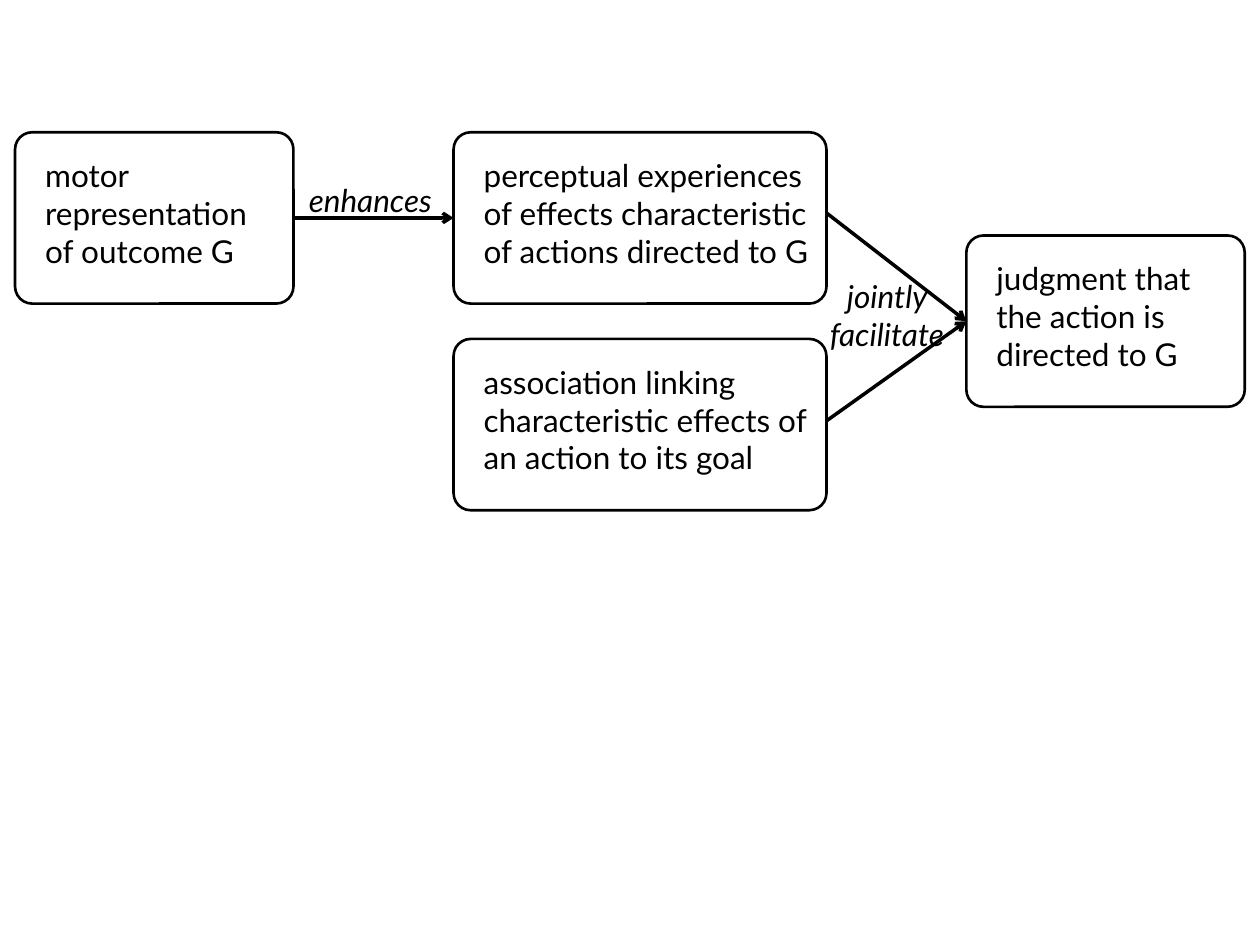
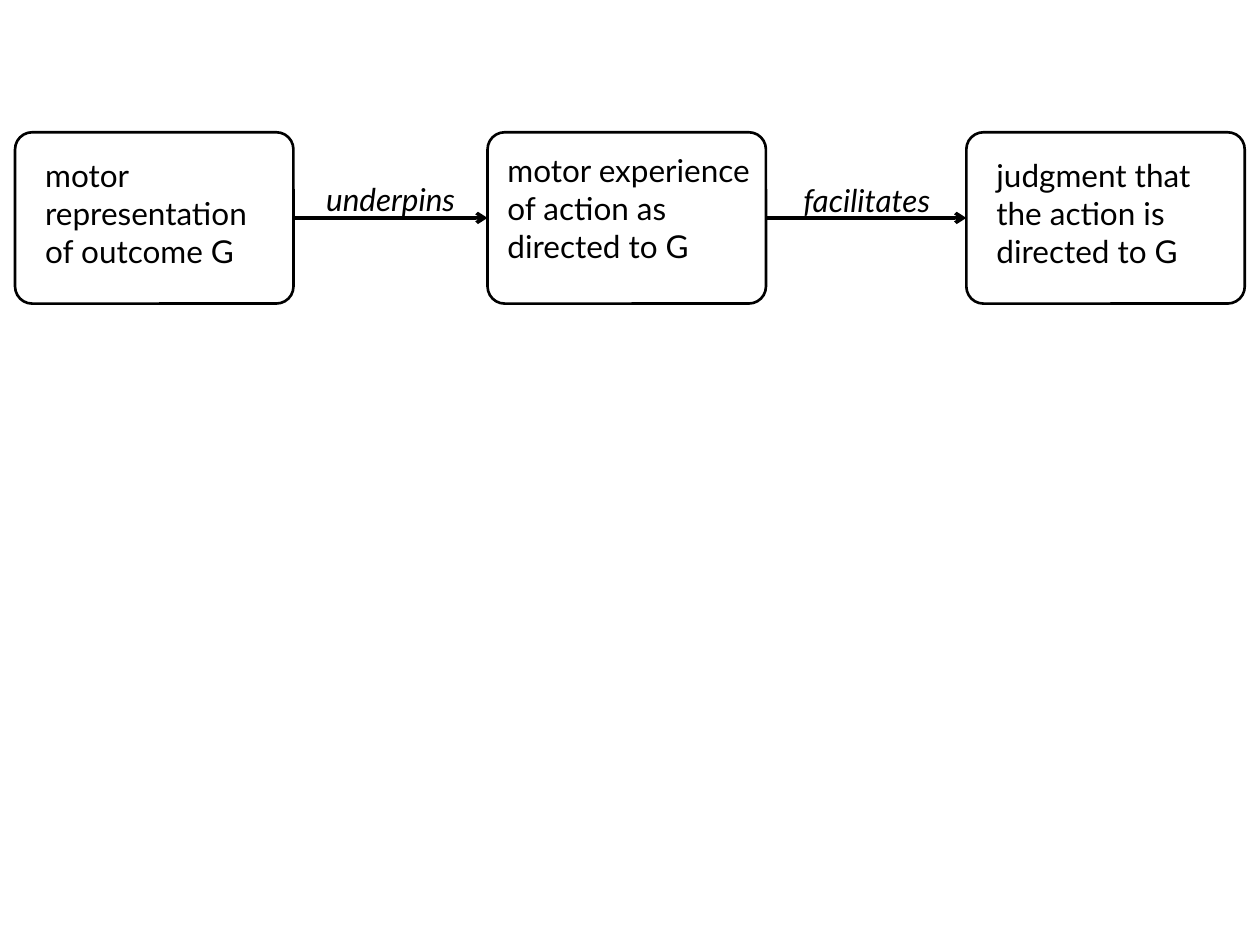
from lxml import etree
from pptx import Presentation
from pptx.dml.color import RGBColor
from pptx.enum import shapes, text
from pptx.oxml import ns
from pptx.util import Pt

BLACK = RGBColor(0, 0, 0)
WHITE = RGBColor(255, 255, 255)
FONT = "Lato"

# Shared grid, in points
TOP = 75.6
BOX_W, WIDE_W, BOX_H = 159.1, 213.1, 97.9
MIDDLE = TOP + BOX_H / 2
MOTOR_X, EFFECTS_X, EXPERIENCE_X, JUDGMENT_X = 8.6, 259.2, 278.6, 552.2
LABEL_W = 89.3

MOTOR = "motor representation of outcome G"
JUDGMENT = "judgment that the action is directed to G"


def write(frame, words, size=18, italic=False, align=None):
    frame.word_wrap = True
    frame.auto_size = text.MSO_AUTO_SIZE.SHAPE_TO_FIT_TEXT
    paragraph = frame.paragraphs[0]
    paragraph.alignment = align
    run = paragraph.add_run()
    run.text = words
    run.font.name, run.font.size = FONT, Pt(size)
    run.font.italic = italic
    run.font.color.rgb = BLACK


class Diagram:
    """Holds the style and the current slide."""

    def __init__(self):
        self.deck = Presentation()
        self.deck.slide_width, self.deck.slide_height = Pt(720), Pt(540)
        self.slide = None

    def new_slide(self):
        self.slide = self.deck.slides.add_slide(self.deck.slide_layouts[6])
        fill = self.slide.background.fill
        fill.solid()
        fill.fore_color.rgb = WHITE

    def node(self, words, left, top=TOP, width=BOX_W, text_w=135.4,
             inset=(10.1, 10.1)):
        """Rounded box grouped with its text."""
        group = self.slide.shapes.add_group_shape().shapes
        box = group.add_shape(shapes.MSO_SHAPE.ROUNDED_RECTANGLE,
                              Pt(left), Pt(top), Pt(width), Pt(BOX_H))
        box.adjustments[0] = 0.1
        box.shadow.inherit = False
        box.fill.background()
        box.line.color.rgb, box.line.width = BLACK, Pt(1.5)
        dx, dy = inset
        caption = group.add_textbox(Pt(left + dx), Pt(top + dy),
                                    Pt(text_w), Pt(72.7))
        write(caption.text_frame, words)

    def label(self, words, left, top, height=28.8):
        caption = self.slide.shapes.add_textbox(Pt(left), Pt(top),
                                                Pt(LABEL_W), Pt(height))
        write(caption.text_frame, words, italic=True,
              align=text.PP_ALIGN.CENTER)

    def arrow(self, x1, y1, x2, y2):
        link = self.slide.shapes.add_connector(
            shapes.MSO_CONNECTOR.STRAIGHT, Pt(x1), Pt(y1), Pt(x2), Pt(y2))
        link.line.color.rgb, link.line.width = BLACK, Pt(2)
        etree.SubElement(link.line._get_or_add_ln(), ns.qn("a:tailEnd"),
                         type="arrow")
        etree.SubElement(link._element.spPr, ns.qn("a:effectLst"))


diagram = Diagram()

# Slide 1: two factors jointly lead to the judgment
diagram.new_slide()
association_top, judgment_top = 193.7, 134.6
effects_right = EFFECTS_X + WIDE_W
judgment_middle = judgment_top + BOX_H / 2
diagram.arrow(effects_right, 240.5, JUDGMENT_X, judgment_middle)
diagram.node(JUDGMENT, JUDGMENT_X, judgment_top)
diagram.arrow(effects_right, 121.7, JUDGMENT_X, judgment_middle)
for factor, factor_top in (
        ("perceptual experiences of effects characteristic of actions "
         "directed to G", TOP),
        ("association linking characteristic effects of an action to its goal",
         association_top)):
    diagram.node(factor, EFFECTS_X, factor_top, WIDE_W, text_w=202.3)
diagram.arrow(MOTOR_X + BOX_W, MIDDLE, EFFECTS_X, MIDDLE)
diagram.node(MOTOR, MOTOR_X)
diagram.label("jointly facilitate", 462.2, 154.8, height=51.1)
diagram.label("enhances", 167, 100.1)

# Slide 2: a single chain through motor experience
diagram.new_slide()
diagram.node(JUDGMENT, JUDGMENT_X)
diagram.arrow(EXPERIENCE_X + BOX_W, MIDDLE, JUDGMENT_X, MIDDLE)
diagram.arrow(MOTOR_X + BOX_W, MIDDLE, EXPERIENCE_X, MIDDLE)
diagram.node(MOTOR, MOTOR_X)
diagram.label("facilitates", 450.7, 100.1)
diagram.label("underpins", 178.6, 99.4)
diagram.node("motor experience of action as directed to G", EXPERIENCE_X,
             text_w=158.4, inset=(4.3, 7.2))

diagram.deck.save("out.pptx")
